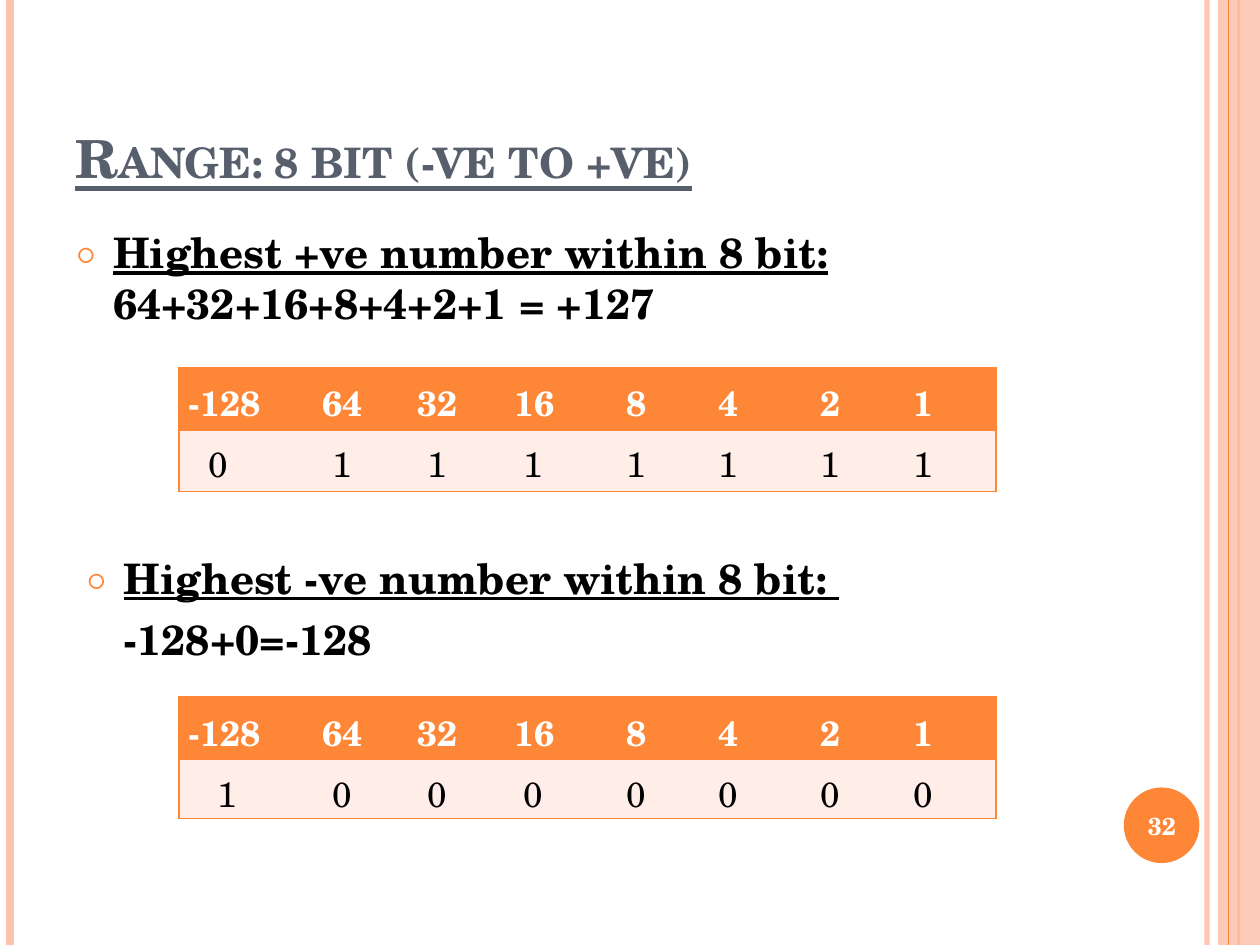
from dataclasses import dataclass
from typing import Any, Optional

from lxml.etree import SubElement
from pptx import Presentation
from pptx.dml.color import RGBColor
from pptx.enum.shapes import MSO_CONNECTOR as Connector, MSO_SHAPE as Shape
from pptx.enum.text import MSO_ANCHOR as Anchor, PP_ALIGN as Align
from pptx.oxml.ns import qn
from pptx.util import Pt

ORANGE = RGBColor(0xFE, 0x86, 0x37)
PEACH = RGBColor(0xFE, 0xC3, 0xAE)
PALE = RGBColor(0xFF, 0xED, 0xE8)
SLATE = RGBColor(0x57, 0x5F, 0x6D)
BLACK = RGBColor(0, 0, 0)
WHITE = RGBColor(0xFF, 0xFF, 0xFF)

FONT = "TeX Gyre Schola"
WIDTH, HEIGHT = 720, 540
HANGING = 21.6
CELL_MARGIN, SPACE = 5.6, 5.56
COLUMN_WIDTHS = [65.5, 59.8, 49.7] + [58.4] * 5
HEADER_HEIGHT = 35.8
WEIGHTS = ["-128", "64", "32", "16", "8", "4", "2", "1"]
HEADER_INDENTS = [0, 2, 1, 2, 3, 2, 2, 1]
DIGIT_INDENTS = [3, 2, 3, 3, 2, 2, 1]


@dataclass
class Stripe:
    x: float
    width: float
    color: RGBColor
    opacity: int = 100


@dataclass
class Run:
    text: str
    size: float = 24
    color: RGBColor = BLACK
    bold: bool = True
    underline: bool = False


@dataclass
class Paragraph:
    runs: list[Run]
    bullet: bool = False
    indent: float = 0
    before: float = 0
    align: Optional[Align] = None


@dataclass
class BitTable:
    top: float
    bits: str
    sign_indent: int
    bits_height: float


def set_values(target: Any, values: dict[str, Any]) -> None:
    for name, value in values.items():
        setattr(target, name, value)


def set_opacity(properties: Any, percent: int) -> None:
    if percent < 100:
        color = next(properties.iter(qn("a:srgbClr")))
        SubElement(color, qn("a:alpha"), val=str(percent * 1000))


def add_stripe(slide: Any, stripe: Stripe) -> None:
    line = slide.shapes.add_connector(
        Connector.STRAIGHT, Pt(stripe.x), 0, Pt(stripe.x), Pt(HEIGHT))
    line.line.color.rgb = stripe.color
    line.line.width = Pt(stripe.width)
    properties = line._element.spPr
    set_opacity(properties, stripe.opacity)
    SubElement(properties, qn("a:effectLst"))


def add_block(slide: Any, kind: Shape, box: tuple[float, ...],
              color: RGBColor, opacity: int = 100) -> None:
    shape = slide.shapes.add_shape(kind, *map(Pt, box))
    shape.shadow.inherit = False
    shape.fill.solid()
    shape.fill.fore_color.rgb = color
    shape.line.fill.background()
    set_opacity(shape._element.spPr, opacity)


def add_run(paragraph: Any, run: Run) -> Any:
    text_run = paragraph.add_run()
    text_run.text = run.text
    set_values(text_run.font, {"name": FONT, "size": Pt(run.size), "bold": run.bold,
                               "underline": run.underline})
    text_run.font.color.rgb = run.color
    return text_run


def add_bullet(properties: Any) -> None:
    properties.set("indent", str(-Pt(HANGING)))
    color = SubElement(properties, qn("a:buClr"))
    SubElement(color, qn("a:srgbClr"), val=str(ORANGE))
    SubElement(properties, qn("a:buSzPct"), val="70000")
    SubElement(properties, qn("a:buFont"), typeface=FONT)
    SubElement(properties, qn("a:buChar"), char="○")


def add_text(slide: Any, box: tuple[float, ...], paragraphs: list[Paragraph],
             anchor: Anchor = Anchor.TOP) -> Any:
    frame = slide.shapes.add_textbox(*map(Pt, box)).text_frame
    set_values(frame, {"word_wrap": True, "vertical_anchor": anchor})
    for index, item in enumerate(paragraphs):
        paragraph = frame.add_paragraph() if index else frame.paragraphs[0]
        set_values(paragraph, {"space_before": Pt(item.before), "alignment": item.align})
        properties = paragraph._p.get_or_add_pPr()
        properties.set("marL", str(Pt(item.indent)))
        if item.bullet:
            add_bullet(properties)
        for run in item.runs:
            add_run(paragraph, run)
    return frame


def add_borders(cell: Any, visible: set[str]) -> None:
    properties = cell._tc.get_or_add_tcPr()
    for side in "LRTB":
        border = SubElement(properties, qn(f"a:ln{side}"), w=str(Pt(1)))
        if side in visible:
            fill = SubElement(border, qn("a:solidFill"))
            SubElement(fill, qn("a:srgbClr"), val=str(ORANGE))
        else:
            SubElement(border, qn("a:noFill"))


def add_bit_table(slide: Any, spec: BitTable) -> None:
    columns = len(COLUMN_WIDTHS)
    heights = [HEADER_HEIGHT, spec.bits_height]
    table = slide.shapes.add_table(2, columns, Pt(102.2), Pt(spec.top),
                                   Pt(sum(COLUMN_WIDTHS)), Pt(sum(heights))).table
    set_values(table, {"first_row": False, "horz_banding": False})
    for column, width in zip(table.columns, COLUMN_WIDTHS):
        column.width = Pt(width)
    rows = [(WEIGHTS, HEADER_INDENTS, ORANGE, WHITE, True),
            (spec.bits, [spec.sign_indent] + DIGIT_INDENTS, PALE, BLACK, False)]
    for row, (texts, indents, fill, color, bold) in enumerate(rows):
        table.rows[row].height = Pt(heights[row])
        for column, (text, indent) in enumerate(zip(texts, indents)):
            cell = table.cell(row, column)
            set_values(cell, {"margin_left": Pt(CELL_MARGIN + SPACE * indent),
                              "margin_right": Pt(CELL_MARGIN),
                              "margin_top": 0, "margin_bottom": 0})
            ends = {0: {"L"}, columns - 1: {"R"}}
            add_borders(cell, {"T", "B"} | ends.get(column, set()))
            cell.fill.solid()
            cell.fill.fore_color.rgb = fill
            paragraph = cell.text_frame.paragraphs[0]
            paragraph.line_spacing = 1.15
            add_run(paragraph, Run(text, 20, color, bold))


def main() -> None:
    presentation = Presentation()
    set_values(presentation, {"slide_width": Pt(WIDTH), "slide_height": Pt(HEIGHT)})
    slide = presentation.slides.add_slide(presentation.slide_layouts[6])

    # Side stripes and page number disc
    for stripe in (Stripe(689.8, 3, PEACH, 93), Stripe(5.8, 4.5, PEACH),
                   Stripe(707.8, 1.5, ORANGE)):
        add_stripe(slide, stripe)
    add_block(slide, Shape.RECTANGLE, (696, 0, 24, HEIGHT), PEACH, 87)
    add_stripe(slide, Stripe(702, 0.75, ORANGE))
    add_block(slide, Shape.OVAL, (642.2, 450, 43.2, 43.2), ORANGE)

    # Title in small capitals
    title = add_text(slide, (36, 21.6, 588, 90), [
        Paragraph([Run("Range: 8 bit (-ve to +ve)", 30, SLATE, underline=True)])],
        Anchor.BOTTOM)
    title.paragraphs[0].runs[0].font._element.set("cap", "small")

    # Explanations
    add_text(slide, (36, 126, 588, 78), [
        Paragraph([Run("Highest +ve number within 8 bit:", underline=True),
                   Run(" 64+32+16+8+4+2+1 = +127")], True, HANGING, 6)])
    add_text(slide, (42, 312, 588, 78), [
        Paragraph([Run("Highest -ve number within 8 bit: ", underline=True)],
                  True, HANGING, 6),
        Paragraph([Run("-128+0=-128")], indent=HANGING, before=6)])

    # Page number
    add_text(slide, (640, 451.5, 48, 41), [
        Paragraph([Run("32", 14, WHITE)], align=Align.CENTER)], Anchor.MIDDLE)

    # Bit tables
    for spec in (BitTable(210, "01111111", 2, 35.2), BitTable(398.2, "10000000", 3, 33.8)):
        add_bit_table(slide, spec)

    presentation.save("out.pptx")


if __name__ == "__main__":
    main()
